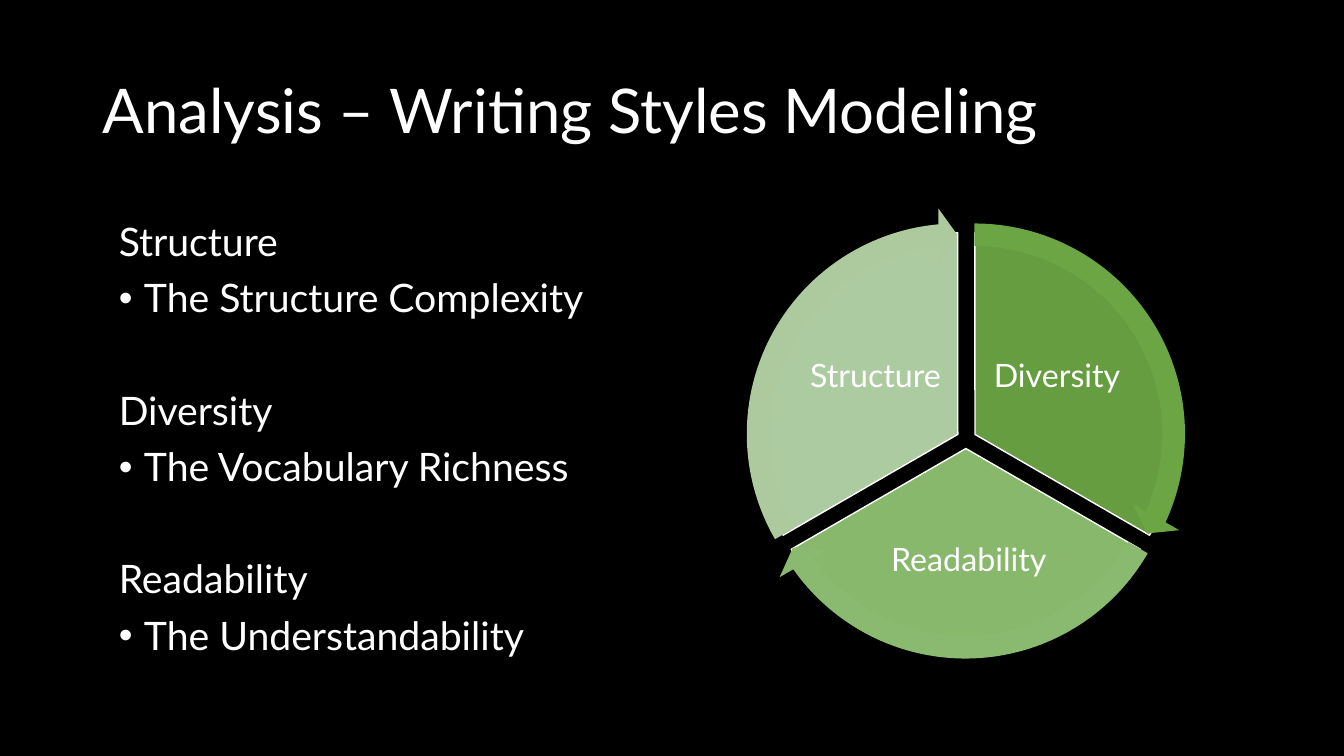
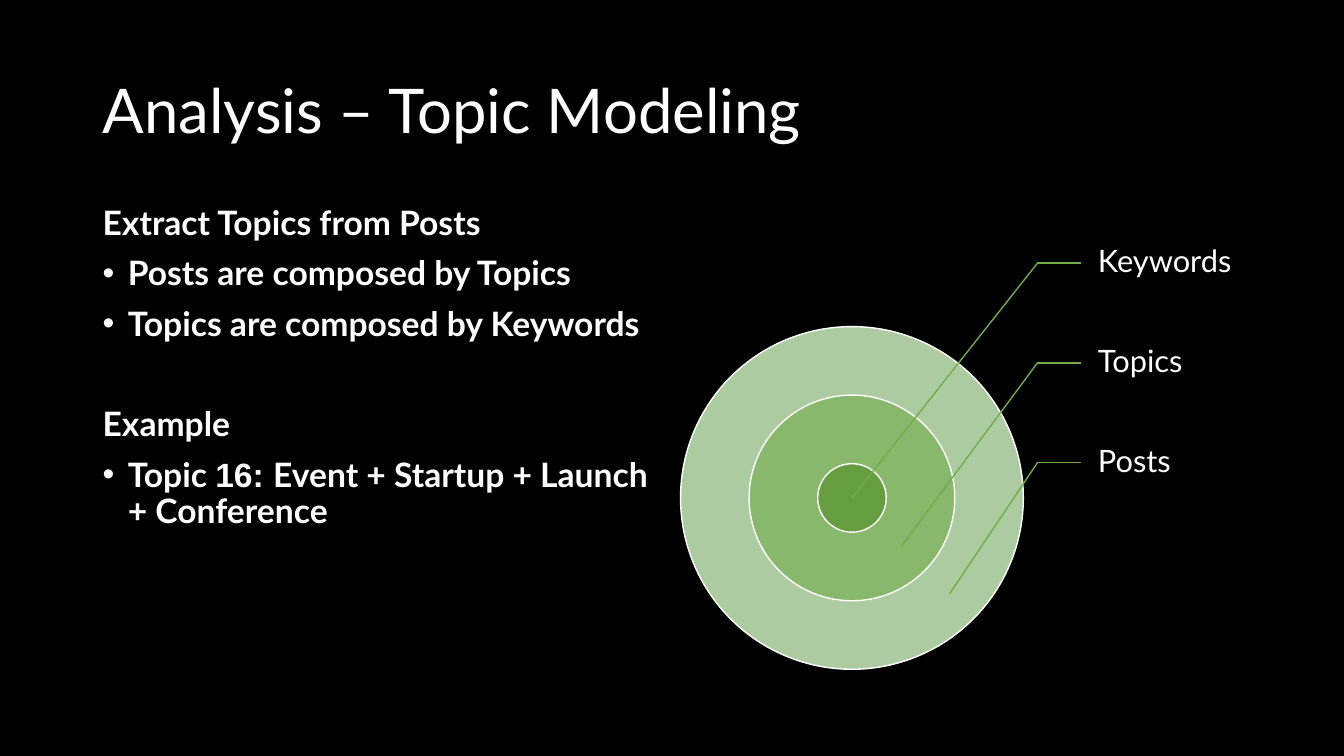
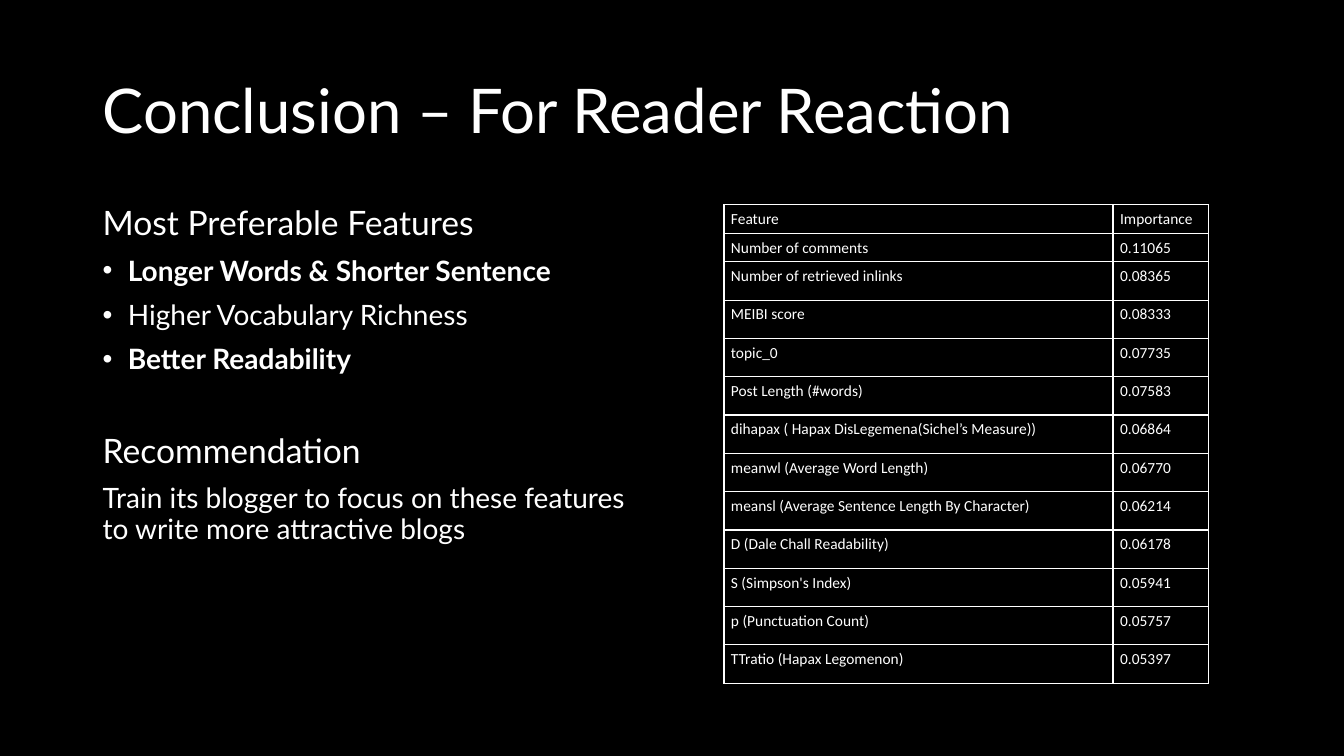
from lxml import etree
from pptx import Presentation
from pptx import util as u
from pptx.dml.color import RGBColor
from pptx.enum import shapes, text
from pptx.oxml.ns import qn

PX = 9144
BLACK = RGBColor(0x00, 0x00, 0x00)
WHITE = RGBColor(0xFF, 0xFF, 0xFF)
DARK_GREEN = RGBColor(0x66, 0x9D, 0x40)
MID_GREEN = RGBColor(0x87, 0xB8, 0x6B)
PALE_GREEN = RGBColor(0xAD, 0xCB, 0xA0)
ARROW_DARK = RGBColor(0x6B, 0xA5, 0x44)
ARROW_MID = RGBColor(0x8A, 0xBA, 0x6F)
ARROW_PALE = RGBColor(0xAD, 0xCA, 0x9F)
LEADER_GREEN = RGBColor(0x70, 0xAD, 0x47)
FONT = "Lato"
TABLE_FONT = "Calibri"
BULLET_FONT = "Arial"

FEATURES = [
    ("Feature", "Importance"),
    ("Number of comments", "0.11065"),
    ("Number of retrieved inlinks", "0.08365"),
    ("MEIBI score", "0.08333"),
    ("topic_0", "0.07735"),
    ("Post Length (#words)", "0.07583"),
    ("dihapax ( Hapax DisLegemena(Sichel’s Measure))", "0.06864"),
    ("meanwl (Average Word Length)", "0.06770"),
    ("meansl (Average Sentence Length By Character)", "0.06214"),
    ("D (Dale Chall Readability)", "0.06178"),
    ("S (Simpson's Index)", "0.05941"),
    ("p (Punctuation Count)", "0.05757"),
    ("TTratio (Hapax Legomenon)", "0.05397"),
]


def px(*lengths):
    return [u.Emu(length * PX) for length in lengths]


def style_font(font, size, bold=False, name=FONT):
    font.name = name
    font.size = u.Pt(size)
    font.bold = bold
    font.color.rgb = WHITE


def add_box(page, area, anchor=text.MSO_ANCHOR.TOP, insets=(10, 5, 10, 5)):
    frame = page.shapes.add_textbox(*px(*area)).text_frame
    frame.word_wrap = True
    frame.vertical_anchor = anchor
    (frame.margin_left, frame.margin_top,
     frame.margin_right, frame.margin_bottom) = px(*insets)
    return frame


def add_label(page, area, words, size, align=text.PP_ALIGN.LEFT, insets=(3, 3, 3, 3)):
    para = add_box(page, area, text.MSO_ANCHOR.MIDDLE, insets).paragraphs[0]
    para.alignment = align
    para.line_spacing = 0.9
    style_font(para.font, size)
    para.add_run().text = words


def add_page(deck, title):
    page = deck.slides.add_slide(deck.slide_layouts[6])
    page.background.fill.solid()
    page.background.fill.fore_color.rgb = BLACK
    add_label(page, (92, 40, 1150, 145), title, 44, insets=(10, 5, 10, 5))
    return page


def add_bullet(para):
    props = para._p.get_or_add_pPr()
    props.set("marL", str(25 * PX))
    props.set("indent", str(-25 * PX))
    etree.SubElement(props, qn("a:buFont")).set("typeface", BULLET_FONT)
    etree.SubElement(props, qn("a:buChar")).set("char", "•")


def add_outline(page, area, items):
    frame = add_box(page, area)
    for index, (words, size, bold, bullet, before) in enumerate(items):
        para = frame.add_paragraph() if index else frame.paragraphs[0]
        para.line_spacing = 0.9
        para.space_before = u.Pt(before)
        if bullet:
            add_bullet(para)
        style_font(para.font, size, bold)
        for words_part, font_name in [(words, None)] if isinstance(words, str) else words:
            span = para.add_run()
            span.text = words_part
            if font_name:
                span.font.name = font_name


def add_figure(page, kind, area, color, edge=None, adjustments=()):
    figure = page.shapes.add_shape(kind, *px(*area))
    figure.shadow.inherit = False
    figure.fill.solid()
    figure.fill.fore_color.rgb = color
    if edge:
        figure.line.color.rgb = edge
        figure.line.width = u.Pt(1)
    else:
        figure.line.fill.background()
    for index, value in enumerate(adjustments):
        figure.adjustments[index] = value


def add_line(page, start, end):
    line = page.shapes.add_connector(shapes.MSO_CONNECTOR.STRAIGHT, *px(*start, *end))
    line.line.color.rgb = LEADER_GREEN
    line.line.width = u.Pt(1)
    etree.SubElement(line._element.spPr, qn("a:effectLst"))


def add_borders(cell):
    props = cell._tc.get_or_add_tcPr()
    for index, side in enumerate(("lnL", "lnR", "lnT", "lnB")):
        border = etree.Element(qn("a:" + side), w=str(u.Pt(1)))
        fill = etree.SubElement(border, qn("a:solidFill"))
        etree.SubElement(fill, qn("a:srgbClr")).set("val", str(WHITE))
        props.insert(index, border)


def add_grid(page, left, top, widths, heights, rows):
    grid = page.shapes.add_table(
        len(rows), len(widths), *px(left, top, sum(widths), sum(heights))).table
    grid.first_row = False
    grid.horz_banding = False
    for column, width in zip(grid.columns, px(*widths)):
        column.width = width
    for row, height, values in zip(grid.rows, px(*heights), rows):
        row.height = height
        for cell, value in zip(row.cells, values):
            cell.fill.background()
            cell.margin_left, cell.margin_right = px(7, 7)
            cell.margin_top, cell.margin_bottom = px(5, 5)
            para = cell.text_frame.paragraphs[0]
            style_font(para.font, 11, name=TABLE_FONT)
            para.add_run().text = value
            add_borders(cell)


def build_styles(deck):
    page = add_page(deck, "Analysis – Writing Styles Modeling")
    sectors = [
        ("Diversity", 767, 231, (162, 18), DARK_GREEN, (977, 315, 143, 119),
         ARROW_DARK, (14.72, 161.99)),
        ("Readability", 758, 245, (18, 90), MID_GREEN, (854, 504, 214, 105),
         ARROW_MID, (86.72, 18)),
        ("Structure", 750, 231, (90, 162), PALE_GREEN, (797, 315, 143, 119),
         ARROW_PALE, (158.73, 90)),
    ]
    for name, left, top, angles, color, label_area, _, _ in sectors:
        add_figure(page, shapes.MSO_SHAPE.PIE, (left, top, 400, 400), color, WHITE, angles)
        add_label(page, label_area, name, 23, text.PP_ALIGN.CENTER)
    for _, left, top, _, _, _, color, (head, tail) in sectors:
        add_figure(page, shapes.MSO_SHAPE.CIRCULAR_ARROW, (left - 25, top - 25, 449, 449),
                   color, adjustments=(0.05, 3.27, head, tail, 0.06))
    add_outline(page, (108, 216, 567, 476), [
        ("Structure", 28, False, False, 10),
        ("The Structure Complexity", 28, False, True, 10),
        ("Diversity", 28, False, False, 50),
        ("The Vocabulary Richness", 28, False, True, 10),
        ("Readability", 28, False, False, 50),
        ("The Understandability", 28, False, True, 10),
    ])


def build_topics(deck):
    page = add_page(deck, "Analysis – Topic Modeling")
    add_outline(page, (92, 200, 567, 476), [
        ("Extract Topics from Posts", 24, True, False, 10),
        ("Posts are composed by Topics", 24, True, True, 10),
        ("Topics are composed by Keywords", 24, True, True, 10),
        ("Example", 24, True, False, 46),
        ([("Topic ", None), ("16: ", "Arial"),
          ("Event + Startup + Launch + Conference", None)], 24, True, True, 10),
    ])
    center_x, center_y = 845, 494
    for radius, color in ((170, PALE_GREEN), (102, MID_GREEN), (34, DARK_GREEN)):
        add_figure(page, shapes.MSO_SHAPE.OVAL,
                   (center_x - radius, center_y - radius, 2 * radius, 2 * radius), color, WHITE)
    knee_x, label_x, label_height = 1029, 1072, 99
    targets = [("Keywords", (845, 494)), ("Topics", (894, 542)), ("Posts", (942, 589))]
    for index, (name, target) in enumerate(targets):
        top = 211 + index * label_height
        knee = (knee_x, top + 50)
        add_label(page, (label_x, top, 170, label_height), name, 22, insets=(17, 3, 3, 3))
        add_line(page, knee, (label_x, top + 50))
        add_line(page, knee, target)


def build_conclusion(deck):
    page = add_page(deck, "Conclusion – For Reader Reaction")
    add_outline(page, (92, 200, 567, 476), [
        ("Most Preferable Features", 24, False, False, 10),
        ("Longer Words & Shorter Sentence", 20, True, True, 10),
        ("Higher Vocabulary Richness", 20, False, True, 10),
        ("Better Readability", 20, True, True, 10),
        ("Recommendation", 24, False, False, 42),
        ("Train its blogger to focus on these features to write more attractive blogs",
         20, False, False, 10),
    ])
    add_grid(page, 718, 203, (386, 95), [28] * 2 + [38] * 11, FEATURES)


def main():
    deck = Presentation()
    deck.slide_width, deck.slide_height = px(1333, 750)
    build_styles(deck)
    build_topics(deck)
    build_conclusion(deck)
    deck.save("out.pptx")


if __name__ == "__main__":
    main()
